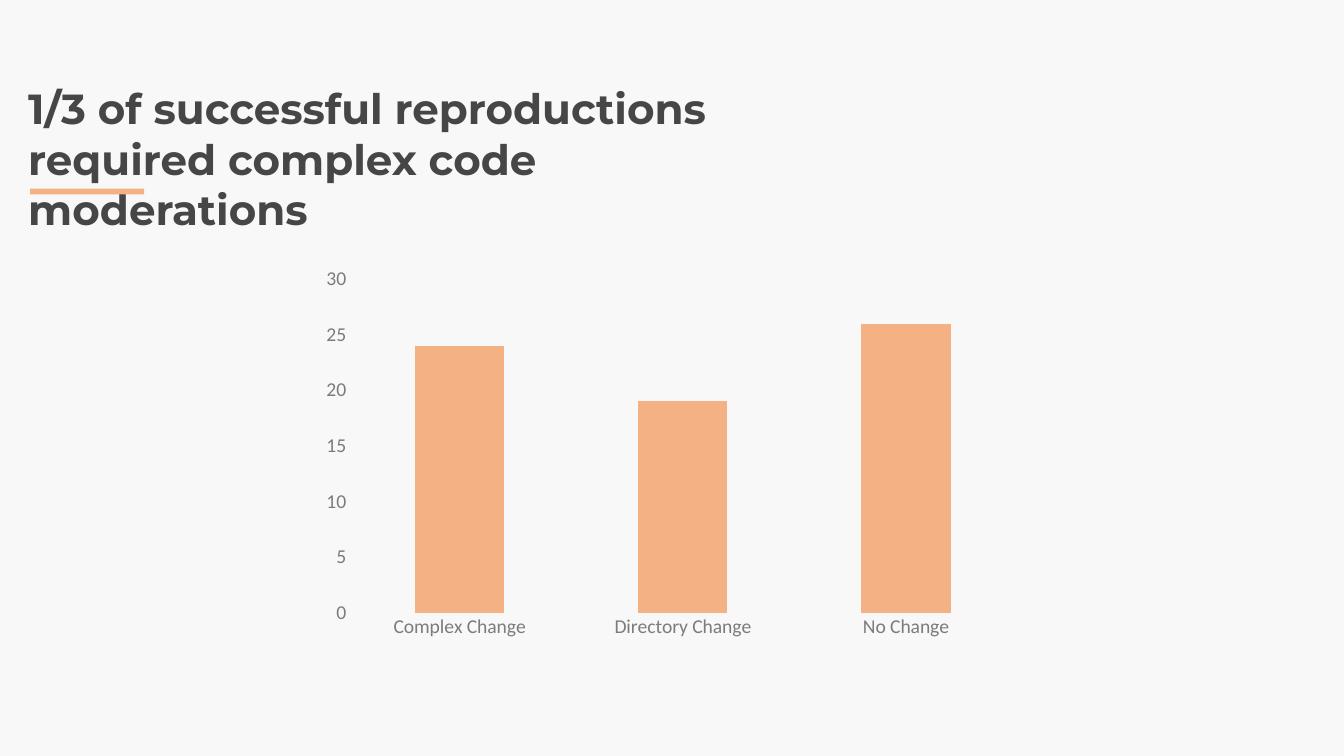
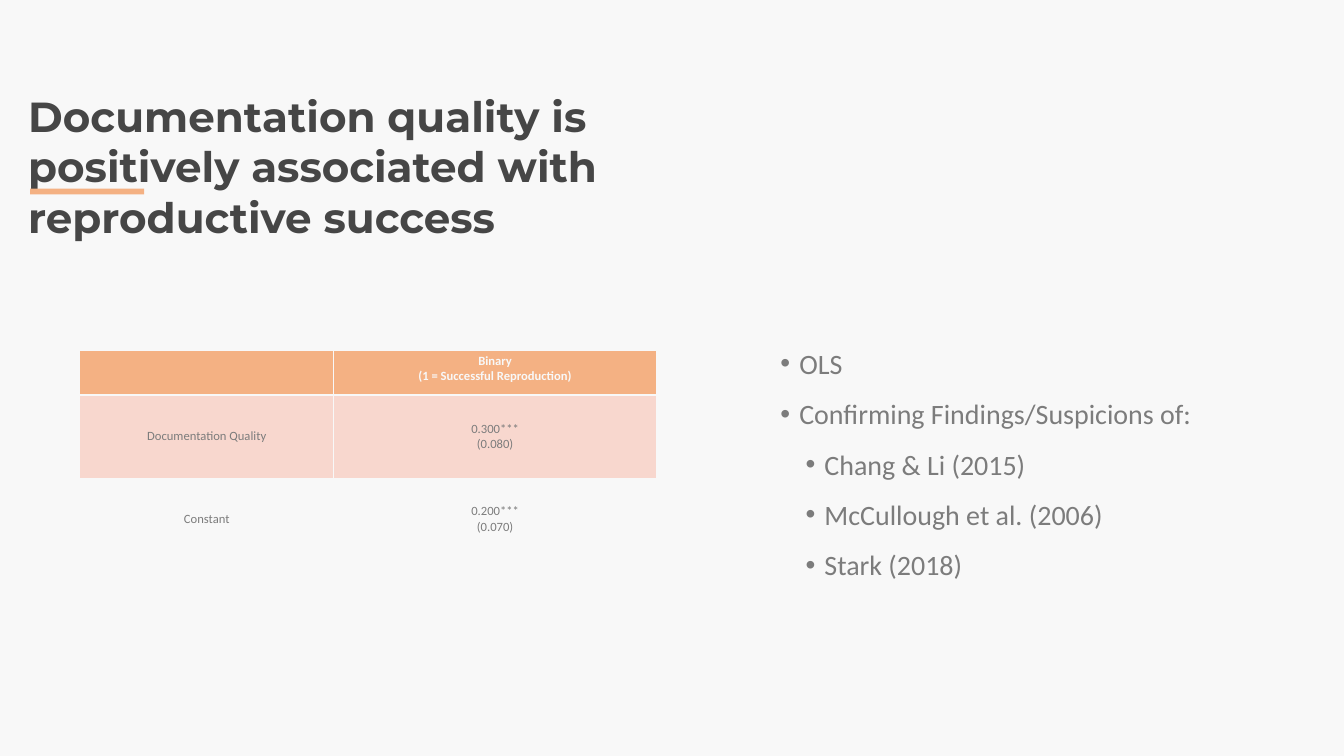
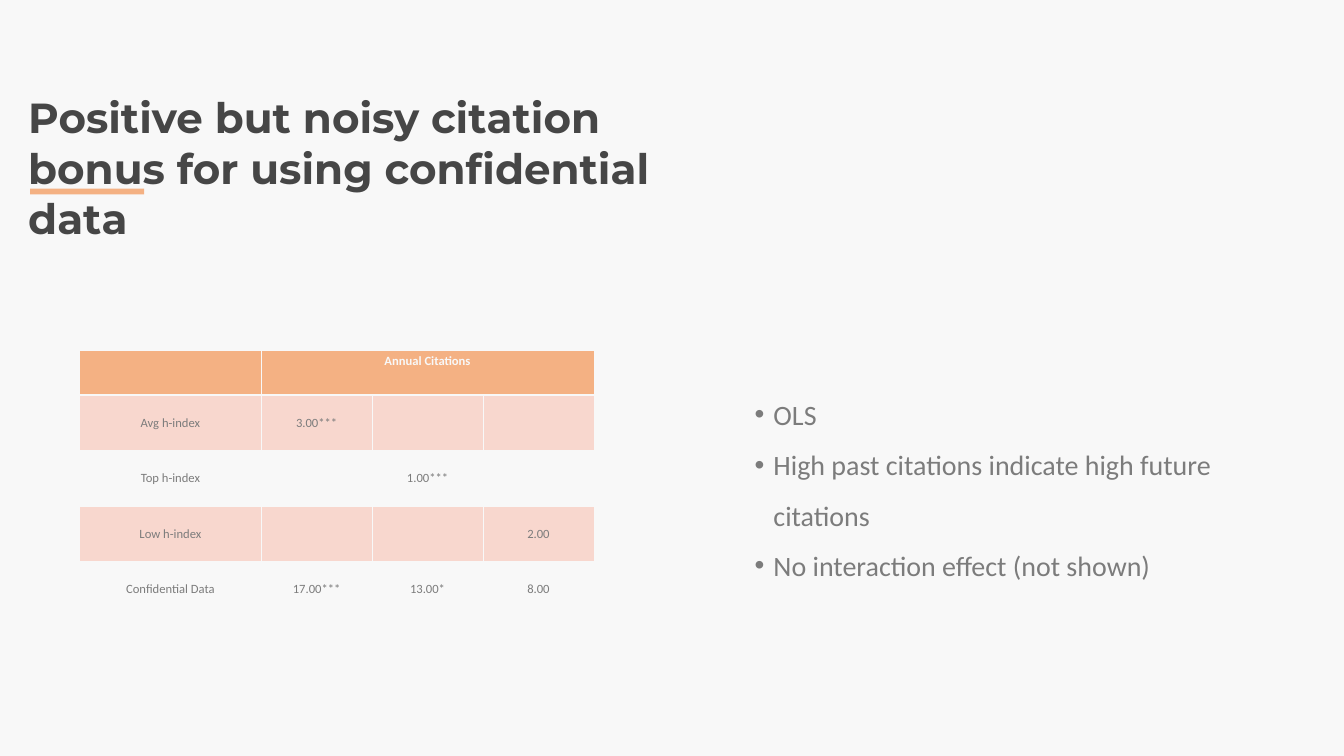
from collections import namedtuple
from dataclasses import dataclass

from lxml import etree
from pptx import Presentation
from pptx.chart.data import CategoryChartData
from pptx.dml.color import RGBColor
from pptx.enum.chart import XL_CHART_TYPE, XL_TICK_MARK
from pptx.enum.shapes import MSO_SHAPE
from pptx.enum.text import MSO_ANCHOR, MSO_AUTO_SIZE, PP_ALIGN
from pptx.oxml.ns import qn
from pptx.util import Pt

STACKED = XL_CHART_TYPE.COLUMN_STACKED
NO_TICK = XL_TICK_MARK.NONE
RECTANGLE = MSO_SHAPE.RECTANGLE
TOP, MIDDLE = MSO_ANCHOR.TOP, MSO_ANCHOR.MIDDLE
GROW = MSO_AUTO_SIZE.SHAPE_TO_FIT_TEXT
LEFT, CENTER = PP_ALIGN.LEFT, PP_ALIGN.CENTER
TITLE_ONLY = 5

Box = namedtuple("Box", "left top width height")


@dataclass(frozen=True)
class Theme:
    paper: str = "F8F8F8"
    ink: str = "464646"
    muted: str = "7C7C7C"
    accent: str = "F4B183"
    band: str = "F8D7CE"
    title_font: str = "Montserrat"
    body_font: str = "Calibri"
    title_size: float = 60
    bullet_size: float = 40
    axis_size: float = 28
    table_size: float = 18


THEME = Theme()
ACCENT_BAR = Box(43.2, 269.3, 162.7, 8.6)
BULLET_INDENT = 27
LEVEL_INDENT = 36
HEADER_HEIGHT = 63.4


def rgb(color):
    return RGBColor.from_string(color)


def in_points(box):
    return [Pt(length) for length in box]


def style_font(font, name, size, color, bold=False):
    font.name = name
    font.size = Pt(size)
    font.bold = bold
    font.color.rgb = rgb(color)


def add_titled_slide(prs, heading, box):
    slide = prs.slides.add_slide(prs.slide_layouts[TITLE_ONLY])
    slide.background.fill.solid()
    slide.background.fill.fore_color.rgb = rgb(THEME.paper)

    title = slide.shapes.title
    title.left, title.top, title.width, title.height = in_points(box)
    frame = title.text_frame
    frame.text = heading
    frame.word_wrap = True
    frame.auto_size = GROW
    frame.vertical_anchor = TOP
    frame.paragraphs[0].alignment = LEFT
    style_font(frame.paragraphs[0].font, THEME.title_font, THEME.title_size, THEME.ink, True)

    bar = slide.shapes.add_shape(RECTANGLE, *in_points(ACCENT_BAR))
    bar.shadow.inherit = False
    bar.fill.solid()
    bar.fill.fore_color.rgb = rgb(THEME.accent)
    bar.line.fill.background()
    return slide


def add_change_chart(slide, box, counts):
    data = CategoryChartData()
    data.categories = list(counts)
    data.add_series("Series 1", list(counts.values()))
    chart = slide.shapes.add_chart(STACKED, *in_points(box), data).chart
    chart.has_legend = False
    chart.has_title = False
    style_font(chart.font, THEME.body_font, 10, THEME.ink)

    plot = chart.plots[0]
    plot.gap_width = 150
    plot.overlap = 100
    plot.vary_by_categories = False
    columns = plot.series[0].format.fill
    columns.solid()
    columns.fore_color.rgb = rgb(THEME.accent)

    for axis in (chart.category_axis, chart.value_axis):
        axis.has_major_gridlines = False
        axis.major_tick_mark = axis.minor_tick_mark = NO_TICK
        axis.format.line.fill.background()
        style_font(axis.tick_labels.font, THEME.body_font, THEME.axis_size, THEME.muted)
    chart.value_axis.minimum_scale = 0
    chart.value_axis.maximum_scale = 30
    chart.value_axis.major_unit = 5


def add_cell_borders(cell, widths):
    properties = cell._tc.get_or_add_tcPr()
    for side, width in zip("LRTB", widths):
        border = etree.SubElement(properties, qn(f"a:ln{side}"), w=str(Pt(width)))
        fill = etree.SubElement(border, qn("a:solidFill"))
        etree.SubElement(fill, qn("a:srgbClr"), val=THEME.paper)


def format_cell(cell, text, row):
    is_header = row == 0
    add_cell_borders(cell, (1, 1, 3 if row == 1 else 1, 3 if is_header else 1))
    if is_header or row % 2:
        cell.fill.solid()
        cell.fill.fore_color.rgb = rgb(THEME.accent if is_header else THEME.band)
    else:
        cell.fill.background()
    cell.vertical_anchor = TOP if is_header else MIDDLE
    cell.text_frame.text = text
    for paragraph in cell.text_frame.paragraphs:
        paragraph.alignment = CENTER
        style_font(paragraph.font, THEME.body_font, THEME.table_size,
                   THEME.paper if is_header else THEME.muted, is_header)


def add_regression_table(slide, box, column_widths, row_height, rows):
    table = slide.shapes.add_table(len(rows), len(column_widths), *in_points(box)).table
    table.horz_banding = False
    for column, width in zip(table.columns, column_widths):
        column.width = Pt(width)
    for r, texts in enumerate(rows):
        table.rows[r].height = Pt(row_height if r else HEADER_HEIGHT)
        for c, text in enumerate(texts):
            format_cell(table.cell(r, c), text, r)
    if len(column_widths) > 2:
        table.cell(0, 1).merge(table.cell(0, len(column_widths) - 1))


def add_bullets(slide, box, points):
    frame = slide.shapes.add_textbox(*in_points(box)).text_frame
    frame.word_wrap = True
    frame.auto_size = GROW
    for i, (level, text) in enumerate(points):
        paragraph = frame.paragraphs[0] if i == 0 else frame.add_paragraph()
        paragraph.text = text
        paragraph.level = level
        paragraph.line_spacing = 1.5
        properties = paragraph._p.get_or_add_pPr()
        properties.set("marL", str(Pt(BULLET_INDENT + level * LEVEL_INDENT)))
        properties.set("indent", str(-Pt(BULLET_INDENT)))
        etree.SubElement(properties, qn("a:buFont"), typeface="Arial")
        etree.SubElement(properties, qn("a:buChar"), char="•")
        style_font(paragraph.font, THEME.body_font, THEME.bullet_size, THEME.muted)


def build_change_slide(prs):
    slide = add_titled_slide(
        prs, "1/3 of successful reproductions required complex code moderations",
        Box(33.1, 114.5, 1074.2, 152.6))
    add_change_chart(slide, Box(445.7, 370.8, 1028.2, 552.2),
                     {"Complex Change": 24, "Directory Change": 19, "No Change": 26})


def build_documentation_slide(prs):
    slide = add_titled_slide(
        prs, "Documentation quality is positively associated with reproductive success",
        Box(33.1, 125.3, 1001.5, 152.6))
    add_regression_table(slide, Box(113.8, 501.1, 823.7, 329.8), (362.9, 460.8), 118.1, [
        ("", "Binary\n(1 = Successful Reproduction)"),
        ("Documentation Quality", "0.300***\v(0.080)"),
        ("Constant", "0.200***\n(0.070)"),
    ])
    add_bullets(slide, Box(1107.4, 467.3, 769, 363.6), [
        (0, "OLS"),
        (0, "Confirming Findings/Suspicions of:"),
        (1, "Chang & Li (2015)"),
        (1, "McCullough et al. (2006)"),
        (1, "Stark (2018)"),
    ])


def build_citation_slide(prs):
    slide = add_titled_slide(
        prs, "Positive but noisy citation bonus for using confidential data",
        Box(33.1, 127.4, 1001.5, 152.6))
    add_regression_table(slide, Box(113.8, 501.1, 734.4, 394.6), (259.2,) + (158.4,) * 3, 79.2, [
        ("", "Annual Citations", "", ""),
        ("Avg h-index", "3.00***", "", ""),
        ("Top h-index", "", "1.00***", ""),
        ("Low h-index", "", "", "2.00"),
        ("Confidential Data", "17.00***", "13.00*", "8.00"),
    ])
    add_bullets(slide, Box(1070.6, 540, 812.2, 218.2), [
        (0, "OLS"),
        (0, "High past citations indicate high future citations"),
        (0, "No interaction effect (not shown)"),
    ])


def main():
    prs = Presentation()
    prs.slide_width = Pt(1919.5)
    prs.slide_height = Pt(1080)
    build_change_slide(prs)
    build_documentation_slide(prs)
    build_citation_slide(prs)
    prs.save("out.pptx")


if __name__ == "__main__":
    main()
